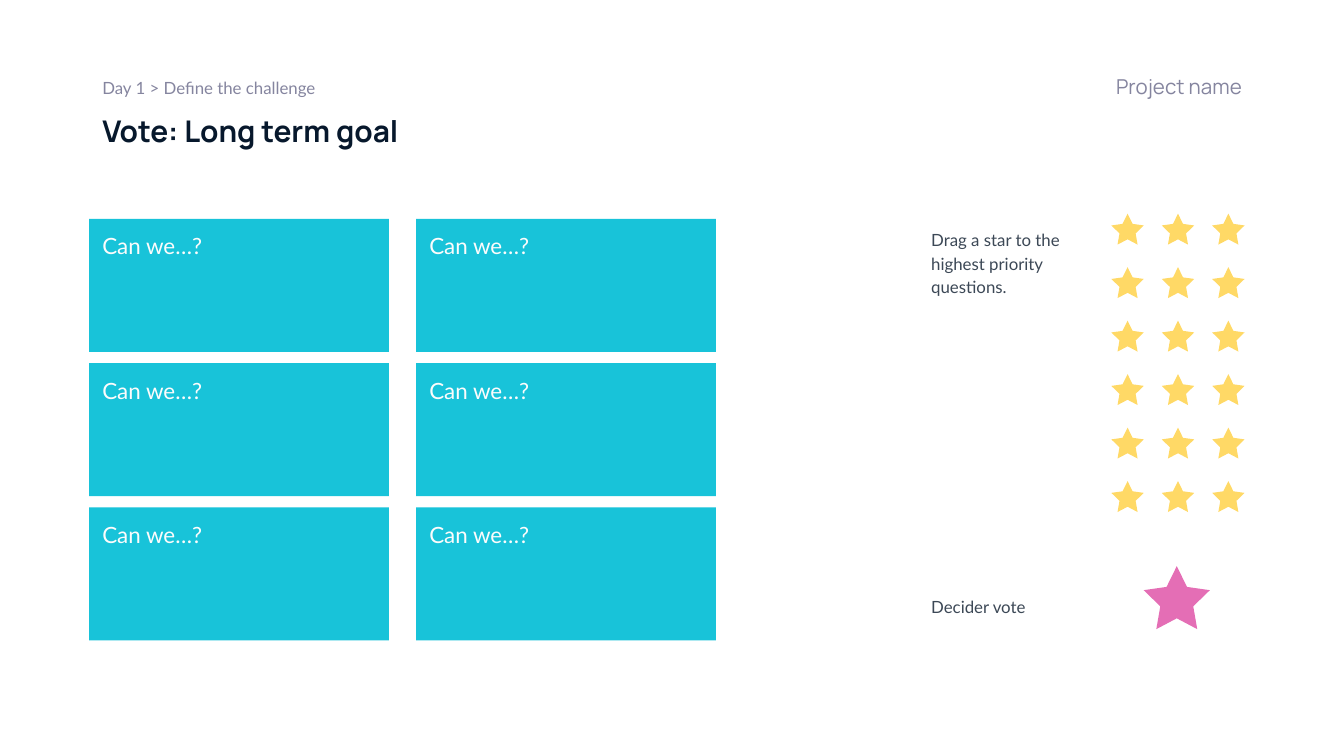
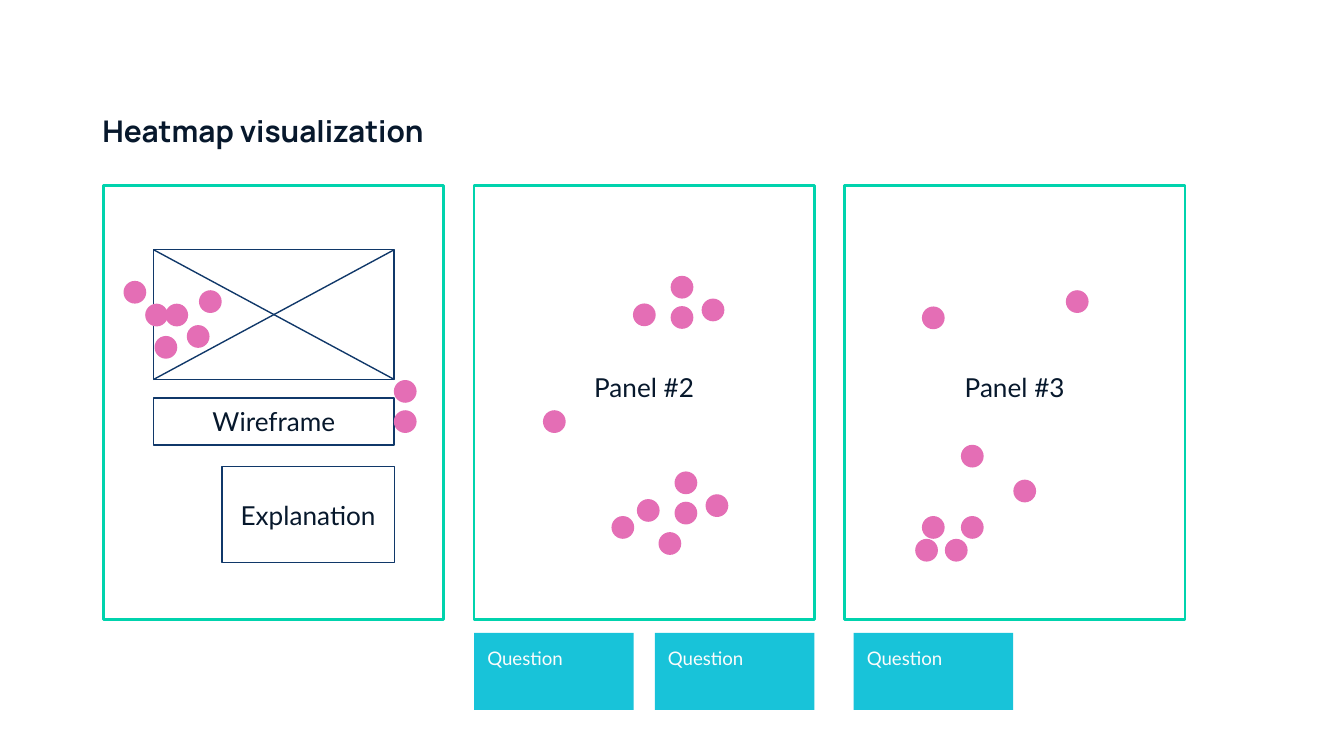
from dataclasses import dataclass
from itertools import product
from typing import Any, Iterable, NamedTuple, Optional

from lxml.etree import SubElement
from pptx import Presentation
from pptx.dml.color import RGBColor
from pptx.enum.shapes import MSO_CONNECTOR, MSO_AUTO_SHAPE_TYPE as Kind
from pptx.enum.text import MSO_AUTO_SIZE, MSO_ANCHOR as Anchor, PP_ALIGN as Align
from pptx.oxml.ns import qn
from pptx.util import Pt


@dataclass(frozen=True)
class Theme:
    ink: str = "07182C"
    muted: str = "85859F"
    body: str = "3C4856"
    light: str = "FCFCFC"
    card: str = "18C3D9"
    frame: str = "00D3AD"
    wire: str = "103869"
    pink: str = "E46EB5"
    yellow: str = "FFD966"
    head_font: str = "Manrope"
    body_font: str = "Lato"
    title_size: float = 16
    label_size: float = 14
    card_size: float = 12
    project_size: float = 11
    question_size: float = 10
    note_size: float = 9
    inset: float = 7.2
    frame_width: float = 1.5
    wire_width: float = 0.75


THEME = Theme()


class Box(NamedTuple):
    x: float
    y: float
    w: float
    h: float

    def lengths(self) -> list[Pt]:
        return [Pt(v) for v in self]


@dataclass(frozen=True)
class TextStyle:
    size: float
    color: str
    font: str = THEME.body_font
    bold: bool = False
    align: Align = Align.LEFT
    anchor: Anchor = Anchor.TOP
    bottom: float = THEME.inset
    spacing: float = 1.0
    after: float = 0


@dataclass(frozen=True)
class Look:
    fill: Optional[str] = None
    line: Optional[str] = None
    width: float = THEME.wire_width


TITLE = TextStyle(THEME.title_size, THEME.ink, THEME.head_font, bold=True)
PROJECT = TextStyle(THEME.project_size, THEME.muted, THEME.head_font,
                    align=Align.RIGHT, anchor=Anchor.BOTTOM, bottom=4.3)
CRUMB = TextStyle(THEME.note_size, THEME.muted)
NOTE = TextStyle(THEME.note_size, THEME.body, spacing=1.15, after=6)
DECIDER = TextStyle(THEME.note_size, THEME.body, anchor=Anchor.MIDDLE,
                    spacing=1.15, after=6)
CARD = TextStyle(THEME.card_size, THEME.light)
QUESTION = TextStyle(THEME.question_size, THEME.light)
WIRE = TextStyle(THEME.label_size, THEME.ink, align=Align.CENTER, anchor=Anchor.MIDDLE)
# The deeper bottom inset lifts the panel name one line's worth above centre.
PANEL = TextStyle(THEME.label_size, THEME.ink, align=Align.CENTER,
                  anchor=Anchor.MIDDLE, bottom=24)

CARD_LOOK = Look(fill=THEME.card)
DOT_LOOK = Look(fill=THEME.pink)
STAR_LOOK = Look(fill=THEME.yellow)
FRAME_LOOK = Look(line=THEME.frame, width=THEME.frame_width)
WIRE_LOOK = Look(line=THEME.wire)

TITLE_BOX = Box(47.7, 53.3, 467.3, 33.8)
STAR_DEPTH = 0.249
DOT_SIZE = 12.2

CLUSTER = [(0, 0), (0, 16.2), (16.6, 12.2), (-20.2, 14.8)]
CLUSTER_TOPS = [(359.3, 147.8), (361.4, 252.6)]
DOTS = [
    # Panel 1
    (88.6, 162.7), (100.1, 174.2), (82.8, 180), (66.2, 150.5),
    (106.6, 155.5), (77.8, 162.7), (211, 203.6), (211, 219.8),
    # Panel 2, outside the clusters
    (327.6, 276.5), (352.8, 285.1), (290.9, 219.8),
    # Panel 3
    (493.9, 164.2), (542.9, 257), (514.8, 238.3), (571, 155.5),
    (493.9, 276.5), (506.2, 288.7), (490.3, 288.7), (514.8, 276.5),
]


def rgb(color: str) -> RGBColor:
    return RGBColor.from_string(color)


def apply(target: Any, values: dict[str, Any]) -> None:
    for name, value in values.items():
        setattr(target, name, value)


def write(sp: Any, text: str, style: TextStyle) -> None:
    tf = sp.text_frame
    inset = Pt(THEME.inset)
    apply(tf, dict(word_wrap=True, auto_size=MSO_AUTO_SIZE.NONE,
                   vertical_anchor=style.anchor, margin_left=inset,
                   margin_right=inset, margin_top=inset,
                   margin_bottom=Pt(style.bottom)))
    p = tf.paragraphs[0]
    apply(p, dict(alignment=style.align, line_spacing=style.spacing,
                  space_before=Pt(0), space_after=Pt(style.after)))
    r = p.add_run()
    r.text = text
    apply(r.font, dict(name=style.font, size=Pt(style.size), bold=style.bold))
    r.font.color.rgb = rgb(style.color)


def add_text(slide: Any, box: Box, text: str, style: TextStyle) -> None:
    write(slide.shapes.add_textbox(*box.lengths()), text, style)


def draw_line(line: Any, color: str, width: float) -> None:
    line.color.rgb = rgb(color)
    line.width = Pt(width)


def add_shape(slide: Any, kind: Kind, box: Box, look: Look,
              text: str = "", style: TextStyle = WIRE) -> Any:
    sp = slide.shapes.add_shape(kind, *box.lengths())
    sp.shadow.inherit = False
    if look.fill:
        sp.fill.solid()
        sp.fill.fore_color.rgb = rgb(look.fill)
    else:
        sp.fill.background()
    if look.line:
        draw_line(sp.line, look.line, look.width)
    else:
        sp.line.fill.background()
    if text:
        write(sp, text, style)
    return sp


def add_star(slide: Any, box: Box, look: Look) -> None:
    add_shape(slide, Kind.STAR_5_POINT, box, look).adjustments[0] = STAR_DEPTH


def add_dots(slide: Any, places: Iterable[tuple[float, float]]) -> None:
    for x, y in places:
        add_shape(slide, Kind.OVAL, Box(x, y, DOT_SIZE, DOT_SIZE), DOT_LOOK)


def add_crossed_box(slide: Any, box: Box) -> None:
    add_shape(slide, Kind.RECTANGLE, box, WIRE_LOOK)
    top, bottom = box.y, box.y + box.h
    for start, end in ((top, bottom), (bottom, top)):
        line = slide.shapes.add_connector(
            MSO_CONNECTOR.STRAIGHT, Pt(box.x), Pt(start), Pt(box.x + box.w), Pt(end))
        draw_line(line.line, THEME.wire, THEME.wire_width)
        SubElement(line._element.spPr, qn("a:effectLst"))


def add_titled_slide(prs: Any, title: str) -> Any:
    slide = prs.slides.add_slide(prs.slide_layouts.get_by_name("Title Only"))
    sp = slide.shapes.title
    apply(sp, dict(zip(("left", "top", "width", "height"), TITLE_BOX.lengths())))
    write(sp, title, TITLE)
    return slide


def build_vote(prs: Any) -> None:
    slide = add_titled_slide(prs, "Vote: Long term goal")
    add_text(slide, Box(360, 33.1, 312.5, 23.8), "Project name", PROJECT)
    add_text(slide, Box(47.7, 34.6, 154, 19.4), "Day 1 > Define the challenge", CRUMB)
    for row, col in product(range(3), range(2)):
        box = Box(47.7 + 175.2 * col, 117.3 + 77.3 * row, 160.7, 71.2)
        add_shape(slide, Kind.RECTANGLE, box, CARD_LOOK, "Can we…?", CARD)
    add_text(slide, Box(491.8, 114.5, 103, 51.8),
             "Drag a star to the highest priority questions.", NOTE)
    add_text(slide, Box(491.8, 314.6, 113, 19.4), "Decider vote", DECIDER)
    add_star(slide, Box(612.7, 303.3, 35.5, 33.8), DOT_LOOK)
    for row, col in product(range(6), range(3)):
        add_star(slide, Box(595.4 + 27 * col, 114.5 + 28.65 * row, 17.4, 16.6), STAR_LOOK)


def build_heatmap(prs: Any) -> None:
    slide = add_titled_slide(prs, "Heatmap visualization")
    for i, name in enumerate(("", "Panel #2", "Panel #3")):
        box = Box(55.4 + 198.5 * i, 99.2, 182.4, 232.8)
        add_shape(slide, Kind.RECTANGLE, box, FRAME_LOOK, name, PANEL)

    add_crossed_box(slide, Box(82.3, 133.8, 128.9, 69.5))
    for box, label in ((Box(82.3, 213.2, 128.9, 25.2), "Wireframe"),
                       (Box(119, 249.9, 92.2, 51.6), "Explanation")):
        add_shape(slide, Kind.RECTANGLE, box, WIRE_LOOK, label, WIRE)

    for x in (254, 350.8, 457.3):
        add_shape(slide, Kind.RECTANGLE, Box(x, 339.1, 85.5, 41.2),
                  CARD_LOOK, "Question", QUESTION)

    add_dots(slide, DOTS)
    add_dots(slide, ((x + dx, y + dy)
                     for (x, y), (dx, dy) in product(CLUSTER_TOPS, CLUSTER)))


def main() -> None:
    prs = Presentation()
    apply(prs, dict(slide_width=Pt(720), slide_height=Pt(405)))
    build_vote(prs)
    build_heatmap(prs)
    prs.save("out.pptx")


if __name__ == "__main__":
    main()
